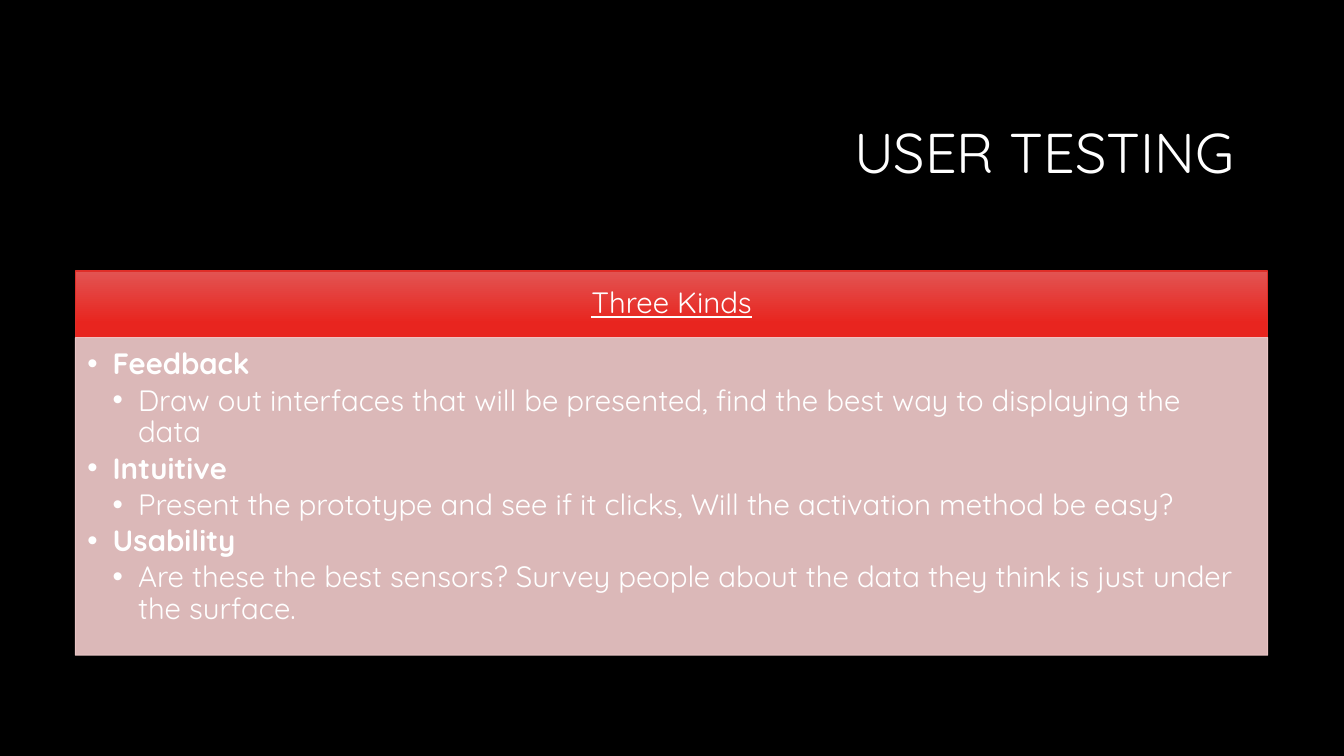
from lxml import etree
from pptx import Presentation
from pptx.dml.color import RGBColor
from pptx.enum.shapes import MSO_SHAPE
from pptx.enum.text import MSO_ANCHOR, PP_ALIGN
from pptx.oxml.ns import qn
from pptx.util import Cm, Pt

RECT = MSO_SHAPE.RECTANGLE
TOP, MIDDLE = MSO_ANCHOR.TOP, MSO_ANCHOR.MIDDLE
LEFT, CENTER, RIGHT = PP_ALIGN.LEFT, PP_ALIGN.CENTER, PP_ALIGN.RIGHT

TITLE = "USER TESTING"
HEADING = "Three Kinds"
KINDS = [
    ("Feedback", "Draw out interfaces that will be presented, "
                 "find the best way to displaying the data"),
    ("Intuitive", "Present the prototype and see if it clicks, "
                  "Will the activation method be easy?"),
    ("Usability", "Are these the best sensors? Survey people about "
                  "the data they think is just under the surface."),
]

FONT = "Quicksand"
BLACK, WHITE, PINK, RED = "000000", "FFFFFF", "F3CDCD", "DF2E28"
GRADIENT = [(0, "E25452"), (0.78, "E8251F")]
PANEL_OPACITY = 90
TEXT_SIZE = 21

PANEL_LEFT, PANEL_WIDTH = 1.9, 30.05
HEADING_TOP, HEADING_HEIGHT = 6.83, 1.68
BODY_HEIGHT = 8
INDENT = 0.64


def color(hex_code):
    return RGBColor.from_string(hex_code)


def set_opacity(fill_element, percent):
    rgb = fill_element.find(".//" + qn("a:srgbClr"))
    etree.SubElement(rgb, qn("a:alpha"), val=str(percent * 1000))


def set_bullet(p, level):
    pPr = p._p.get_or_add_pPr()
    pPr.set("marL", str(Cm(INDENT * (level + 1))))
    pPr.set("indent", str(-Cm(INDENT)))
    etree.SubElement(pPr, qn("a:buFont"), typeface="Arial")
    etree.SubElement(pPr, qn("a:buChar"), char="•")


def prepare_frame(sp, insets, anchor):
    """Set wrapping, anchor and insets (left, top, right, bottom in cm)."""
    tf = sp.text_frame
    tf.word_wrap = True
    tf.vertical_anchor = anchor
    tf.margin_left, tf.margin_top, tf.margin_right, tf.margin_bottom = map(Cm, insets)
    return tf


def write(p, text, size, align, bold=False, underline=False):
    p.alignment = align
    p.line_spacing = 0.9
    r = p.add_run()
    r.text = text
    r.font.name = FONT
    r.font.size = Pt(size)
    r.font.bold = bold
    r.font.underline = underline
    r.font.color.rgb = color(WHITE)


def add_panel(s, top, height, line):
    sp = s.shapes.add_shape(RECT, Cm(PANEL_LEFT), Cm(top), Cm(PANEL_WIDTH), Cm(height))
    sp.shadow.inherit = False
    sp.line.color.rgb = color(line)
    sp.line.width = Pt(0.75)
    return sp


def add_title(s):
    sp = s.shapes.add_textbox(Cm(8.05), Cm(2.13), Cm(23.3), Cm(3.58))
    tf = prepare_frame(sp, (0.25, 0.13, 0.25, 0.13), MIDDLE)
    write(tf.paragraphs[0], TITLE, 40, RIGHT)


def add_heading(s):
    sp = add_panel(s, HEADING_TOP, HEADING_HEIGHT, RED)
    sp.fill.gradient()
    sp.fill.gradient_angle = 270
    for stop, (position, hex_code) in zip(sp.fill.gradient_stops, GRADIENT):
        stop.position = position
        stop.color.rgb = color(hex_code)
    tf = prepare_frame(sp, (0.41, 0.23, 0.41, 0.23), MIDDLE)
    write(tf.paragraphs[0], HEADING, TEXT_SIZE, CENTER, underline=True)


def add_body(s):
    sp = add_panel(s, HEADING_TOP + HEADING_HEIGHT, BODY_HEIGHT, PINK)
    sp.fill.solid()
    sp.fill.fore_color.rgb = color(PINK)
    spPr = sp._element.spPr
    for tag in ("a:solidFill", "a:ln"):
        set_opacity(spPr.find(qn(tag)), PANEL_OPACITY)
    tf = prepare_frame(sp, (0.3, 0.3, 0.41, 0.46), TOP)
    lines = [(level, text) for kind in KINDS for level, text in enumerate(kind)]
    for i, (level, text) in enumerate(lines):
        p = tf.add_paragraph() if i else tf.paragraphs[0]
        p.level = level
        set_bullet(p, level)
        p.space_after = Pt(3.15)
        write(p, text, TEXT_SIZE, LEFT, bold=level == 0)


def main():
    prs = Presentation()
    prs.slide_width, prs.slide_height = Cm(33.87), Cm(19.05)
    s = prs.slides.add_slide(prs.slide_layouts[6])
    s.background.fill.solid()
    s.background.fill.fore_color.rgb = color(BLACK)
    add_title(s)
    add_heading(s)
    add_body(s)
    prs.save("out.pptx")


if __name__ == "__main__":
    main()
